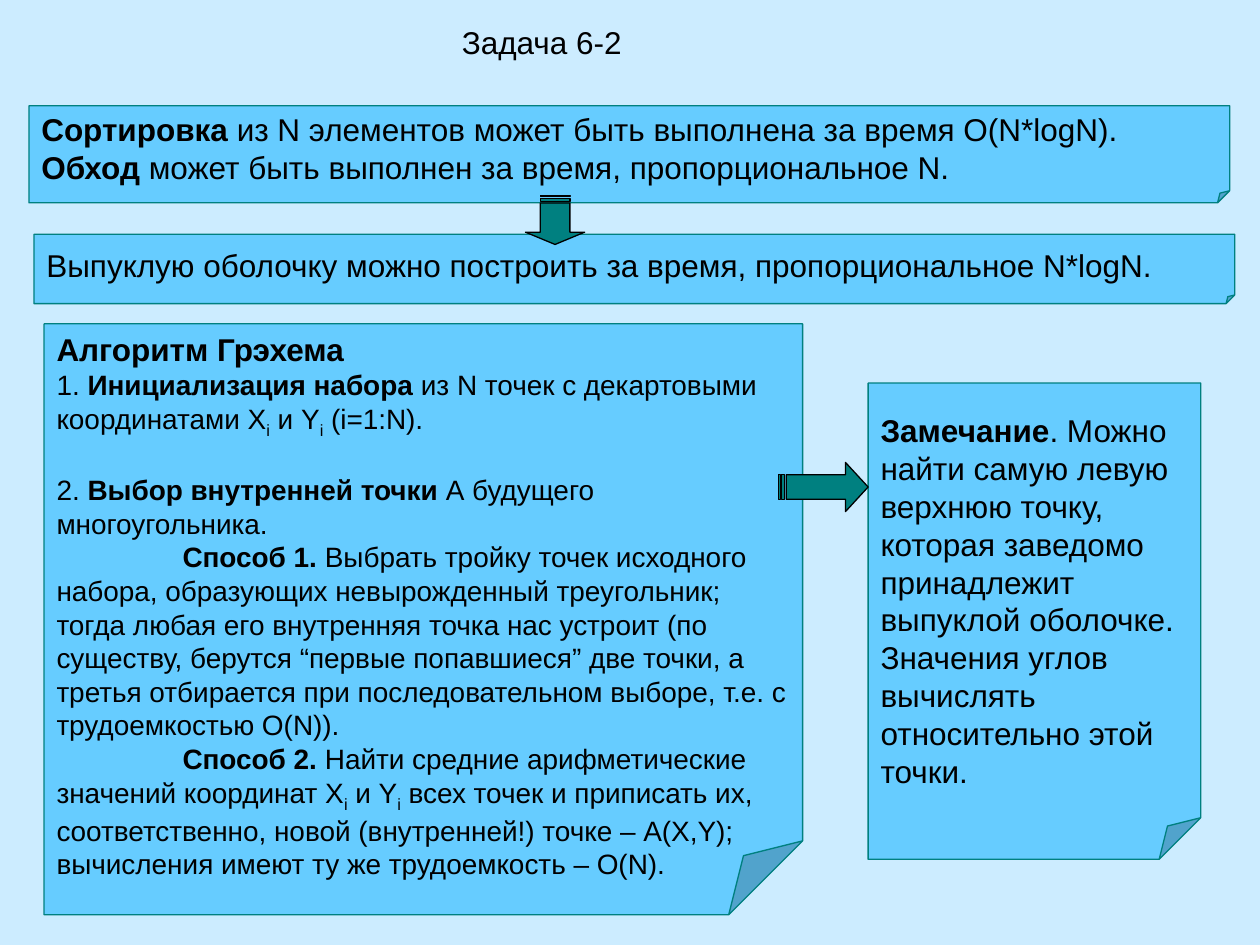
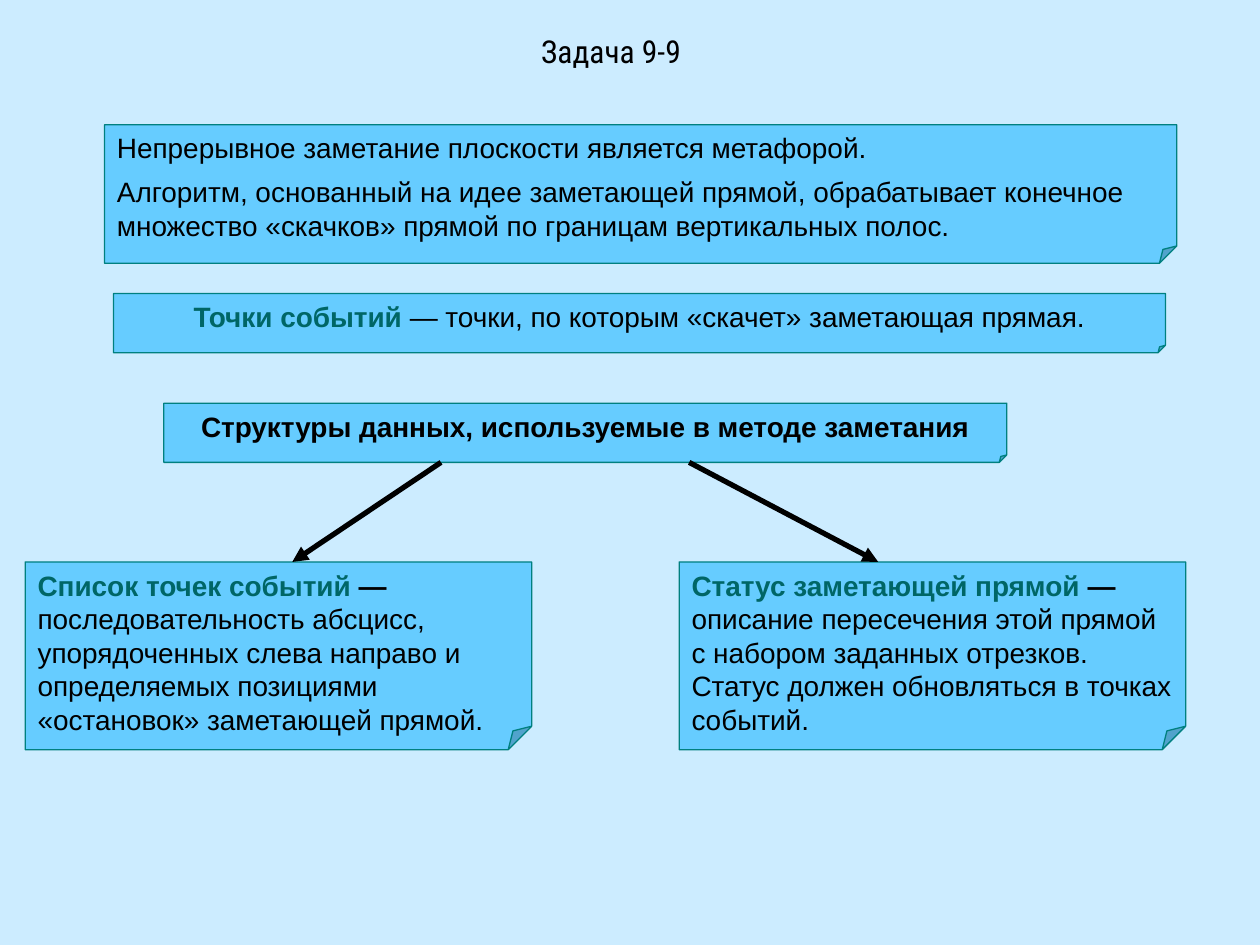
import pptx
import pptx.util
import pptx.dml.color
import pptx.enum.shapes
import pptx.enum.text
import pptx.oxml.ns
from lxml import etree

Inches, Pt, qn = pptx.util.Inches, pptx.util.Pt, pptx.oxml.ns.qn
Shape = pptx.enum.shapes.MSO_SHAPE
Align = pptx.enum.text.PP_ALIGN
Anchor = pptx.enum.text.MSO_ANCHOR

# Shared look
HUES = {"page": "CCECFF", "card": "66CCFF", "edge": "008080",
        "key": "006666", "ink": "000000"}
STYLES = {
    "n": {"bold": False}, "b": {"bold": True},
    "key": {"bold": True, "hue": "key"},
    "sub": {"bold": False, "base": -25000},
}
FRAME = {"margin_left": Inches(0.1), "margin_right": Inches(0.1),
         "margin_top": Inches(0.05), "margin_bottom": Inches(0.05)}
TOP, MID = {"vertical_anchor": Anchor.TOP}, {"vertical_anchor": Anchor.MIDDLE}

# Paragraph formats
PLAIN = {}
APART = {"space_before": Pt(19)}
INSET = {"indent": Inches(1)}
AFTER = {"space_after": Pt(6)}
CENTER = {"space_after": Pt(6), "alignment": Align.CENTER}

# Slide content: a card is (box, anchor, size, paragraphs),
# a paragraph is (format, size or None, runs), a run is (style, text)
XY = [("sub", "i"), ("n", " и Y"), ("sub", "i")]
TASKS = [
    {
        "title": ("Задача 6-2", (2.81, 0.13, 2.98, 0.55), "Arial"),
        "cards": [
            ((0.35, 2.57, 6.02, 4.69), TOP, 16, [
                (PLAIN, 18, [("b", "Алгоритм Грэхема")]),
                (PLAIN, None, [
                    ("n", "1. "), ("b", "Инициализация набора"),
                    ("n", " из N точек с декартовыми координатами X"),
                    *XY, ("n", " (i=1:N).")]),
                (APART, None, [
                    ("n", "2. "), ("b", "Выбор внутренней точки"),
                    ("n", " А будущего многоугольника.")]),
                (INSET, None, [
                    ("b", "Способ 1."),
                    ("n", " Выбрать тройку точек исходного набора, образующих "
                          "невырожденный треугольник; тогда любая его внутренняя "
                          "точка нас устроит (по существу, берутся “первые "
                          "попавшиеся” две точки, а третья отбирается при "
                          "последовательном выборе, т.е. с трудоемкостью O(N)).")]),
                (INSET, None, [
                    ("b", "Способ 2."),
                    ("n", " Найти средние арифметические значений координат X"),
                    *XY,
                    ("n", " всех точек и приписать их, соответственно, новой "
                          "(внутренней!) точке – A(X,Y); вычисления имеют ту же "
                          "трудоемкость – O(N).")]),
            ]),
            ((0.23, 0.84, 9.53, 0.77), MID, 18, [
                (PLAIN, None, [
                    ("b", "Сортировка"),
                    ("n", " из N элементов может быть выполнена за время O(N*logN).")]),
                (PLAIN, None, [
                    ("b", "Обход"),
                    ("n", " может быть выполнен за время, пропорциональное N.")]),
            ]),
            ((0.27, 1.86, 9.53, 0.55), MID, 18, [
                (PLAIN, None, [("n", "Выпуклую оболочку можно построить за время, "
                                     "пропорциональное N*logN.")]),
            ]),
            ((6.89, 3.04, 2.64, 3.78), MID, 18, [
                (PLAIN, None, [
                    ("b", "Замечание"),
                    ("n", ". Можно найти самую левую верхнюю точку, которая "
                          "заведомо принадлежит выпуклой оболочке. Значения углов "
                          "вычислять относительно этой точки.")]),
            ]),
        ],
        # (box, turn, head length)
        "arrows": [((4.21, 1.51, 0.39, 0.47), 90, 0.25),
                   ((6.18, 3.67, 0.71, 0.39), 0, 0.46)],
        "links": [],
    },
    {
        "title": ("Задача 9-9", (3.48, 0.2, 2.74, 0.68), "Roboto Condensed"),
        "cards": [
            ((0.83, 0.99, 8.51, 1.1), TOP, 16, [
                (AFTER, None, [("n", "Непрерывное заметание плоскости является метафорой.")]),
                (AFTER, None, [("n", "Алгоритм, основанный на идее заметающей прямой, "
                                     "обрабатывает конечное множество «скачков» прямой "
                                     "по границам вертикальных полос.")]),
            ]),
            ((0.9, 2.33, 8.35, 0.47), TOP, 16, [
                (CENTER, None, [
                    ("key", "Точки событий"),
                    ("n", " — точки, по которым «скачет» заметающая прямая.")]),
            ]),
            ((1.3, 3.2, 6.69, 0.47), TOP, 16, [
                (CENTER, None, [("b", "Структуры данных, используемые в методе заметания")]),
            ]),
            ((0.2, 4.46, 4.02, 1.49), TOP, 16, [
                (AFTER, None, [
                    ("key", "Список точек событий"), ("b", " —"),
                    ("n", " последовательность абсцисс, упорядоченных слева направо "
                          "и определяемых позициями «остановок» заметающей прямой.")]),
            ]),
            ((5.39, 4.46, 4.02, 1.49), TOP, 16, [
                (AFTER, None, [
                    ("key", "Статус заметающей прямой"), ("b", " —"),
                    ("n", " описание пересечения этой прямой с набором заданных "
                          "отрезков. Статус должен обновляться в точках событий.")]),
            ]),
        ],
        "arrows": [],
        "links": [(3.5, 3.67, 2.32, 4.46), (5.47, 3.67, 6.97, 4.46)],
    },
]


def rgb(hue):
    return pptx.dml.color.RGBColor.from_string(HUES[hue])


def apply(item, *formats):
    for values in formats:
        for name, value in values.items():
            setattr(item, name, value)


def write(para, text, size, style, face="Arial"):
    run = para.add_run()
    run.text = text
    look = STYLES[style]
    apply(run.font, {"name": face, "size": Pt(size), "bold": look["bold"]})
    run.font.color.rgb = rgb(look.get("hue", "ink"))
    if "base" in look:
        run.font._element.set("baseline", str(look["base"]))


def draw(slide, kind, box, fill, line, guides):
    shape = slide.shapes.add_shape(kind, *map(Inches, box))
    shape.shadow.inherit = False
    shape.fill.solid()
    shape.fill.fore_color.rgb = rgb(fill)
    shape.line.color.rgb = rgb(line)
    shape.line.width = Pt(0.75)
    # The folded corner has no public adjustment, so guides go in as XML
    geom = shape._element.spPr.find(qn("a:prstGeom"))
    for child in list(geom):
        geom.remove(child)
    values = etree.SubElement(geom, qn("a:avLst"))
    for name, part in guides.items():
        etree.SubElement(values, qn("a:gd"), name=name,
                         fmla=f"val {round(part * 100000)}")
    return shape


def add_title(slide, text, box, face):
    title = slide.shapes.title
    apply(title, dict(zip(("left", "top", "width", "height"), map(Inches, box))))
    frame = title.text_frame
    apply(frame, FRAME, TOP, {"word_wrap": False,
                              "auto_size": pptx.enum.text.MSO_AUTO_SIZE.NONE})
    para = frame.paragraphs[0]
    para.alignment = Align.CENTER
    write(para, text, 18, "n", face)


def add_card(slide, box, anchor, size, paras):
    card = draw(slide, Shape.FOLDED_CORNER, box, "card", "edge", {"adj": 0.125})
    frame = card.text_frame
    apply(frame, FRAME, anchor, {"word_wrap": True})
    for i, (form, own, runs) in enumerate(paras):
        para = frame.add_paragraph() if i else frame.paragraphs[0]
        values = {"alignment": Align.LEFT, **form}
        indent = values.pop("indent", None)
        apply(para, values)
        if indent:
            para._p.get_or_add_pPr().set("indent", str(int(indent)))
        for style, text in runs:
            write(para, text, own or size, style)


def add_arrow(slide, box, turn, head):
    arrow = draw(slide, Shape.STRIPED_RIGHT_ARROW, box, "edge", "ink",
                 {"adj1": 0.5, "adj2": head})
    arrow.rotation = turn


def add_link(slide, *ends):
    link = slide.shapes.add_connector(
        pptx.enum.shapes.MSO_CONNECTOR.STRAIGHT, *map(Inches, ends))
    link.line.color.rgb = rgb("ink")
    link.line.width = Pt(3)
    stroke = link._element.spPr.find(qn("a:ln"))
    etree.SubElement(stroke, qn("a:tailEnd"), type="triangle")
    etree.SubElement(link._element.spPr, qn("a:effectLst"))


def main():
    deck = pptx.Presentation()
    deck.slide_width, deck.slide_height = Inches(10), Inches(7.5)
    page = deck.slide_master.background.fill
    page.solid()
    page.fore_color.rgb = rgb("page")
    for task in TASKS:
        slide = deck.slides.add_slide(deck.slide_layouts[5])
        add_title(slide, *task["title"])
        for part, add in (("cards", add_card), ("arrows", add_arrow),
                          ("links", add_link)):
            for item in task[part]:
                add(slide, *item)
    deck.save("out.pptx")


if __name__ == "__main__":
    main()
